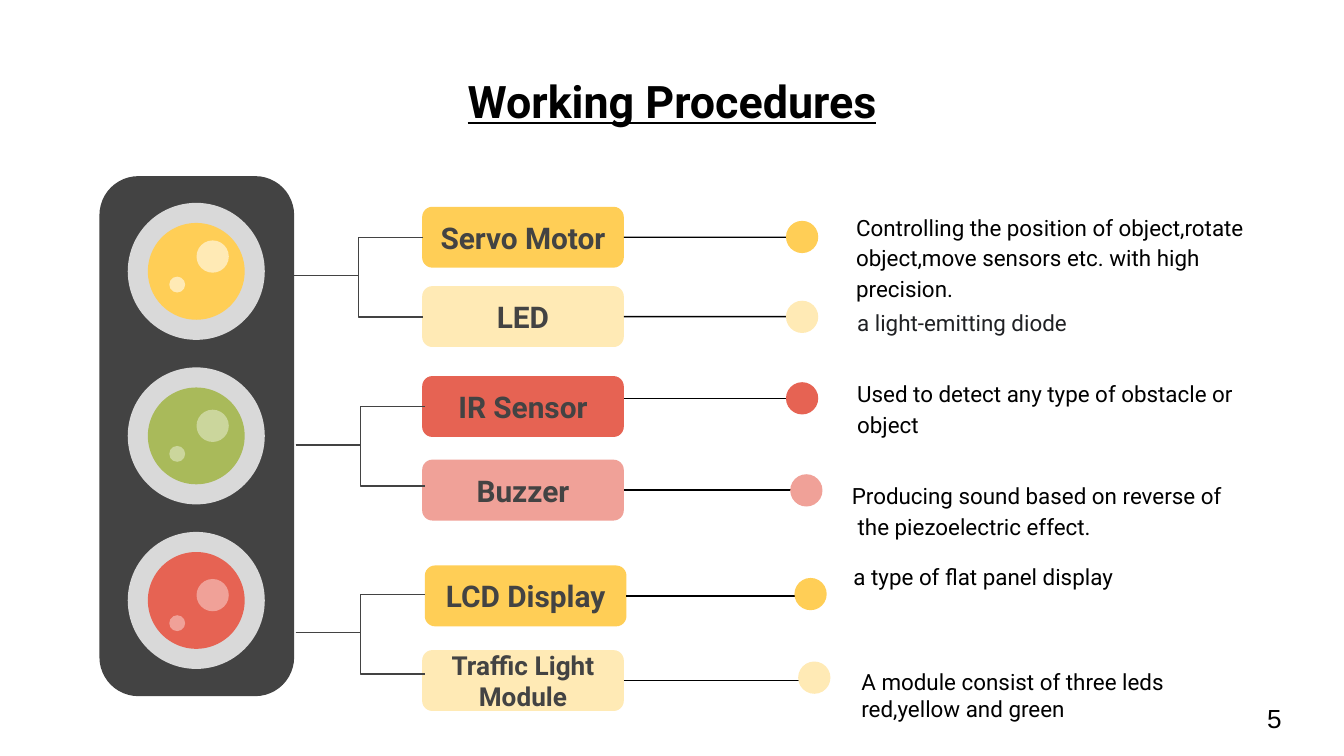
from lxml.etree import SubElement
from pptx import Presentation
from pptx.dml.color import RGBColor
from pptx.enum.shapes import MSO_CONNECTOR as LINE, MSO_SHAPE as SHAPE
from pptx.enum.text import MSO_ANCHOR as ANCHOR, MSO_AUTO_SIZE as FIT, PP_ALIGN as ALIGN
from pptx.oxml.ns import qn
from pptx.util import Cm, Pt

BLACK = RGBColor(0x00, 0x00, 0x00)
INK = RGBColor(0x20, 0x21, 0x24)
DARK = RGBColor(0x43, 0x43, 0x43)
GREY = RGBColor(0xD9, 0xD9, 0xD9)
YELLOW = RGBColor(0xFF, 0xCE, 0x56)
PALE_YELLOW = RGBColor(0xFF, 0xEA, 0xB5)
GREEN = RGBColor(0xA9, 0xBA, 0x5A)
PALE_GREEN = RGBColor(0xCB, 0xD6, 0x9C)
RED = RGBColor(0xE6, 0x63, 0x53)
PALE_RED = RGBColor(0xF0, 0xA1, 0x98)

BOX_W, BOX_H = 3.81, 1.15
LAMPS = [(YELLOW, PALE_YELLOW), (GREEN, PALE_GREEN), (RED, PALE_RED)]
BRACKETS = [(5.56, 5.21), (5.59, 8.41), (5.59, 11.96)]

ROWS = [
    ("Servo Motor", 16, YELLOW, 7.98, 3.91, 15.16, 4.48),
    ("LED", 16, PALE_YELLOW, 7.98, 5.41, 15.16, 5.99),
    ("IR Sensor", 16, RED, 7.98, 7.11, 15.16, 7.53),
    ("Buzzer", 16, PALE_RED, 7.98, 8.69, 15.24, 9.27),
    ("LCD Display", 16, YELLOW, 8.03, 10.69, 15.32, 11.23),
    ("Traffic Light Module", 14, PALE_YELLOW, 7.98, 12.29, 15.39, 12.81),
]
MIDDLE = dict(vertical_anchor=ANCHOR.MIDDLE, margin_top=Cm(0.25), margin_bottom=Cm(0.25))
NOTES = [
    ("Controlling the position of object,rotate object,move sensors etc. with high precision.",
     (15.93, 4.14, 8.2, 1.4), BLACK, MIDDLE, 1.15),
    ("a light-emitting diode", (15.95, 5.36, 7.77, 1.4), INK, MIDDLE, 1.15),
    ("Used to detect any type of obstacle or object",
     (15.95, 6.99, 7.77, 1.4), BLACK, MIDDLE, 1.15),
    ("Producing sound based on reverse of the piezoelectric effect.",
     (15.75, 8.92, 7.77, 1.4), BLACK, MIDDLE, 1.15),
    ("a type of flat panel display", (15.88, 10.52, 8.61, 0.76), BLACK, {}, 1),
    ("A module consist of three leds red,yellow and green",
     (16.03, 12.5, 7.52, 1.27), BLACK, {}, 1),
]


class Deck:
    """Holds the text style and the current slide, and draws its elements."""

    def __init__(self, prs, font="Roboto"):
        self.font = font
        self.s = prs.slides.add_slide(prs.slide_layouts[5])

    def fill_text(self, tf, text, color, align=ALIGN.LEFT, frame=None, **fmt):
        for name, value in (frame or {}).items():
            setattr(tf, name, value)
        p = tf.paragraphs[0]
        p.alignment = align
        r = p.add_run()
        r.text = text
        r.font.color.rgb = color
        for name, value in {"name": self.font, **fmt}.items():
            setattr(r.font, name, value)
        return p

    def title(self, text, *box):
        sp = self.s.shapes.title
        for name, value in zip(("left", "top", "width", "height"), box):
            setattr(sp, name, Cm(value))
        frame = dict(MIDDLE, vertical_anchor=ANCHOR.TOP, auto_size=FIT.NONE)
        self.fill_text(sp.text_frame, text, BLACK, ALIGN.CENTER, frame,
                       size=Pt(24), bold=True, underline=True)

    def shape(self, kind, color, *box):
        sp = self.s.shapes.add_shape(kind, *map(Cm, box))
        sp.shadow.inherit = False
        sp.fill.solid()
        sp.fill.fore_color.rgb = color
        sp.line.fill.background()
        return sp

    def circle(self, color, x, y, d):
        return self.shape(SHAPE.OVAL, color, x - d / 2, y - d / 2, d, d)

    def label(self, text, size, color, left, top):
        sp = self.shape(SHAPE.FLOWCHART_ALTERNATE_PROCESS, color, left, top, BOX_W, BOX_H)
        self.fill_text(sp.text_frame, text, DARK, ALIGN.CENTER, MIDDLE, size=Pt(size), bold=True)
        return sp

    def text(self, text, box, color=BLACK, frame=None, spacing=1, wrap=True, **fmt):
        tf = self.s.shapes.add_textbox(*map(Cm, box)).text_frame
        tf.word_wrap = wrap
        p = self.fill_text(tf, text, color, frame=frame, **{"size": Pt(12), **fmt})
        p.line_spacing = spacing
        return p

    def line(self, color, *ends, kind=LINE.STRAIGHT):
        c = self.s.shapes.add_connector(kind, *map(Cm, ends))
        c.line.color.rgb = color
        c.line.width = Pt(0.75)
        SubElement(c._element.spPr, qn("a:effectLst"))
        return c


def main():
    prs = Presentation()
    prs.slide_width, prs.slide_height = Cm(25.4), Cm(14.29)
    d = Deck(prs)
    d.title("Working Procedures", 1.27, 1.14, 22.86, 1.12)

    body = d.shape(SHAPE.ROUNDED_RECTANGLE, DARK, 1.88, 3.33, 3.68, 9.83)
    body.adjustments[0] = 0.2
    for i, (color, pale) in enumerate(LAMPS):
        y = 5.13 + 3.11 * i
        d.circle(GREY, 3.71, y, 2.59)
        d.circle(color, 3.71, y, 1.83)
        d.circle(pale, 4.02, 4.85 + 3.2 * i, 0.61)
        d.circle(pale, 3.35, 5.38 + 3.2 * i, 0.3)

    for text, size, color, left, top, x, y in ROWS:
        box = d.label(text, size, color, left, top)
        mid = top + BOX_H / 2
        joined = abs(mid - y) < 0.1
        line_y = mid if joined else y
        link = d.line(BLACK, left + BOX_W, line_y, x, line_y)
        if joined:
            link.begin_connect(box, 3)
        d.circle(color, x, y, 0.61)

    for x, y in BRACKETS:
        for dy in (-0.72, 0.78):
            d.line(DARK, x, y, x + 2.44, y + dy, kind=LINE.ELBOW)

    notes = [d.text(*note) for note in NOTES]
    hanging = notes[3]._p.get_or_add_pPr()
    hanging.set("marL", str(Cm(0.21)))
    hanging.set("indent", str(-Cm(0.11)))
    d.text("5", (23.7, 13.16, 0.79, 0.86), wrap=False, name="Arial", size=Pt(14))
    prs.save("out.pptx")


if __name__ == "__main__":
    main()
